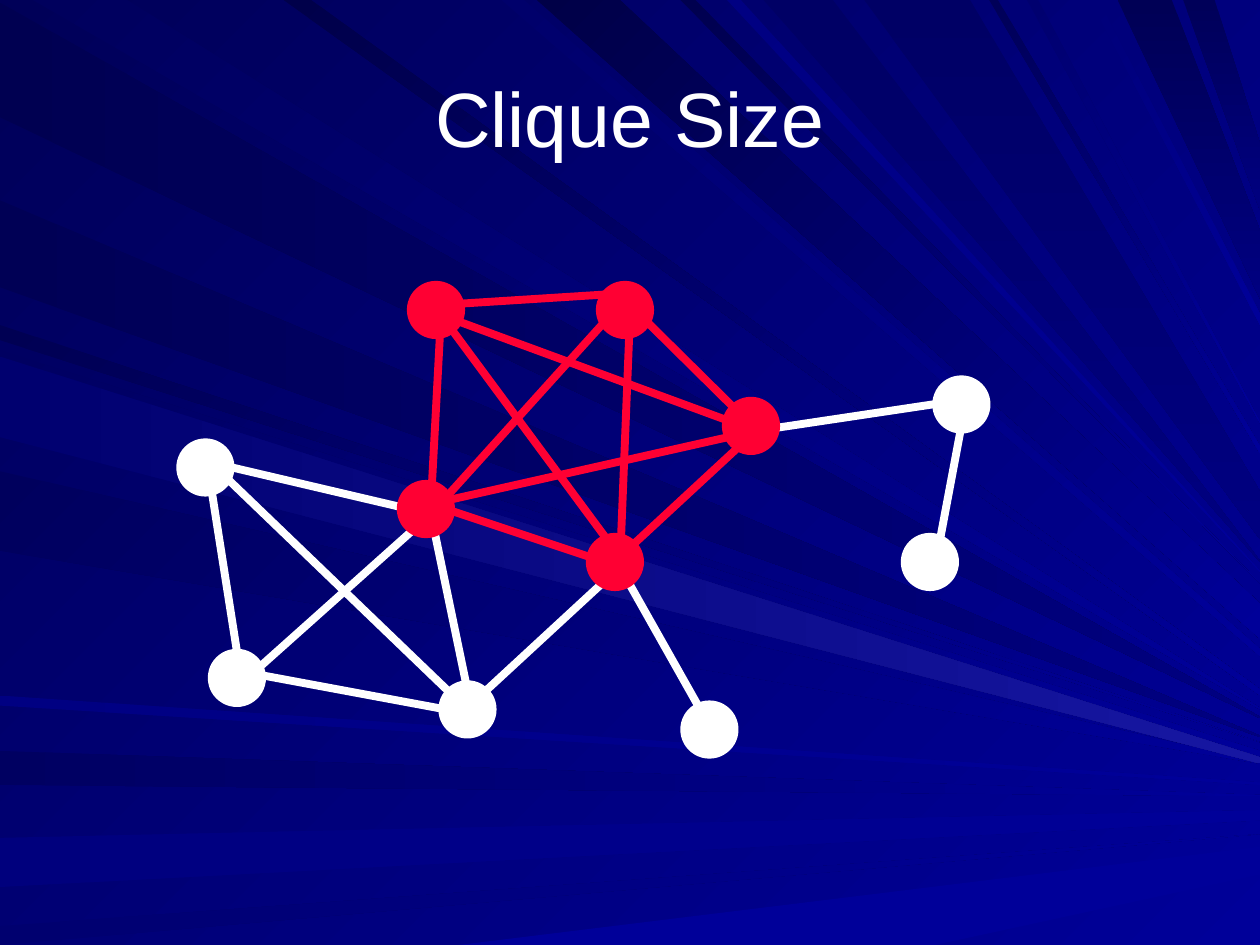
from lxml.etree import SubElement
from pptx import Presentation
from pptx.dml.color import RGBColor
from pptx.enum.shapes import MSO_CONNECTOR as CONN, MSO_SHAPE as SHAPE
from pptx.enum.text import MSO_ANCHOR as ANCHOR, PP_ALIGN as ALIGN
from pptx.oxml.ns import qn
from pptx.util import Inches, Pt

WHITE = RGBColor.from_string("FFFFFF")
RED = RGBColor.from_string("FF0033")
NIGHT = RGBColor.from_string("000058")
BLUE = RGBColor.from_string("000099")
NAVY = RGBColor.from_string("000080")
GLOW = RGBColor.from_string("1717A2")
WIDTH, HEIGHT = 10, 7.5
NODE_SIZE = 0.42

DEEP, FLAT, SLANT, DROP, SHINE = (NAVY, 0), (BLUE, 0), (BLUE, 45), (NAVY, 90), (GLOW, 0)

RAYS = [
    ("left", DEEP, "51", 0.02, 0.93, 5.69, 5.7),
    ("top", SLANT, "5D", 0.26, 1.01, 5.63, 5.62),
    ("left", FLAT, "61", 5.96, 6.23, 6.31, 6.32),
    ("left", FLAT, "7D", 6.65, 7.04, 6.43, 6.51),
    ("left", FLAT, "6F", 7.35, 7.5, 6.62, 6.62),
    ("bottom", FLAT, "99", 3.64, 7.42, 6.72, 6.94),
    ("left", SLANT, "53", 2.58, 2.7, 5.89, 5.89),
    ("left", DEEP, "55", 1.59, 2.28, 5.84, 5.85),
    ("top", SLANT, "6B", 3.98, 4.16, 5.21, 5.15),
    ("top", SLANT, "47", 4.26, 4.92, 5.07, 4.79),
    ("top", SLANT, "4F", 5.4, 5.52, 4.63, 4.63),
    ("top", DROP, "65", 6.06, 6.61, 4.46, 4.45),
    ("top", DROP, "55", 8.87, 9.3, 2.37, 1.83),
    ("top", DROP, "59", 9.39, 9.64, 1.67, 1.14),
    ("left", SLANT, "61", 2.78, 3.42, 5.96, 6.02),
    ("left", SLANT, "5D", 3.74, 4.37, 6.05, 6.06),
    ("left", FLAT, "82", 5.52, 5.6, 6.21, 6.23),
    ("top", SLANT, "4A", 2.25, 2.47, 5.52, 5.47),
    ("top", SLANT, "82", 5.77, 5.88, 4.54, 4.53),
    ("top", DROP, "65", 6.86, 7.7, 4.28, 3.9),
    ("top", SLANT, "58", 7.85, 7.92, 3.6, 3.54),
    ("top", SLANT, "6F", 8.15, 8.24, 3.36, 3.35),
    ("top", SLANT, "79", 8.65, 8.72, 2.58, 2.49),
    ("left", SHINE, "6F", 2.83, 3.47, 6.01, 6.06),
]

BACK_NODES = [
    (RED, 3.25, 2.25), (WHITE, 1.42, 3.5), (RED, 4.75, 2.25), (WHITE, 5.42, 5.58),
    (WHITE, 7.17, 4.25), (WHITE, 7.42, 3), (WHITE, 1.67, 5.17), (WHITE, 3.5, 5.42),
]
FRONT_NODES = [(RED, 4.67, 4.25), (RED, 5.75, 3.17), (RED, 3.17, 3.83)]

JOINTS = {
    "A": (3.5, 2.5), "a": (3.5, 2.42), "B": (5, 2.5), "b": (4.92, 2.42),
    "C": (6, 3.42), "D": (4.92, 4.5), "d": (4.92, 4.42), "E": (3.42, 4),
    "e": (3.42, 4.08), "F": (1.67, 3.67), "f": (1.67, 3.83), "G": (1.92, 5.42),
    "g": (1.92, 5.33), "H": (3.75, 5.67), "h": (3.75, 5.58), "I": (5.67, 5.83),
    "J": (7.67, 3.17), "K": (7.42, 4.5), "t": (4.92, 2.33), "u": (5.08, 2.5),
    "v": (5.92, 3.33),
}
EDGES = [
    (WHITE, "fG Ge"), (RED, "AE"), (WHITE, "eH"), (RED, "DE"), (WHITE, "Dh"),
    (RED, "BD uv"), (WHITE, "DI JK JC"), (RED, "ta be Ad Cd CA EC"),
    (WHITE, "FH eF gH"),
]


def paint(fill, start, end, angle):
    """Fill with one colour, or with a gradient at a clockwise angle."""
    if start == end:
        fill.solid()
        fill.fore_color.rgb = start
        return
    fill.gradient()
    fill.gradient_angle = (360 - angle) % 360
    for stop, color in zip(fill.gradient_stops, (start, end)):
        stop.color.rgb = color


def add_ray(s, side, style, shade, near, far, first, last):
    """Add a ray from one side of the slide to its right edge."""
    starts = {
        "left": [(0, near), (0, far)],
        "top": [(near, 0), (far, 0)],
        "bottom": [(near, HEIGHT), (far, HEIGHT)],
    }[side]
    points = starts + [(WIDTH, last), (WIDTH, first)]
    corners = [(Inches(x), Inches(y)) for x, y in points]
    builder = s.shapes.build_freeform(*corners[0])
    builder.add_line_segments(corners[1:], close=True)
    sp = builder.convert_to_shape()
    sp.shadow.inherit = False
    sp.line.fill.background()
    paint(sp.fill, RGBColor.from_string("0000" + shade), *style)


def set_title(s, text):
    """Write the title and bring it in front of the rays."""
    sp = s.shapes.title
    s.shapes._spTree.append(sp._element)
    sp.left, sp.top, sp.width, sp.height = map(Inches, (0.5, 0.3, 9, 1.25))
    tf = sp.text_frame
    tf.word_wrap = True
    tf.vertical_anchor = ANCHOR.MIDDLE
    p = tf.paragraphs[0]
    p.alignment = ALIGN.CENTER
    r = p.add_run()
    r.text = text
    r.font.name = "Arial"
    r.font.size = Pt(44)
    r.font.color.rgb = WHITE


def add_node(s, color, left, top):
    """Add a round graph node."""
    size = Inches(NODE_SIZE)
    sp = s.shapes.add_shape(SHAPE.OVAL, Inches(left), Inches(top), size, size)
    sp.shadow.inherit = False
    sp.fill.solid()
    sp.fill.fore_color.rgb = color
    sp.line.color.rgb = color
    sp.line.width = Pt(3)


def add_edge(s, color, start, end):
    """Add a straight graph edge between two joints."""
    ends = map(Inches, JOINTS[start] + JOINTS[end])
    edge = s.shapes.add_connector(CONN.STRAIGHT, *ends)
    edge.line.color.rgb = color
    edge.line.width = Pt(4.5)
    SubElement(edge._element.spPr, qn("a:effectLst"))


def main():
    """Build and save the slide."""
    prs = Presentation()
    prs.slide_width, prs.slide_height = Inches(WIDTH), Inches(HEIGHT)
    s = prs.slides.add_slide(prs.slide_layouts[5])
    paint(s.background.fill, NIGHT, BLUE, 45)
    for ray in RAYS:
        add_ray(s, *ray)
    set_title(s, "Clique Size")
    for node in BACK_NODES:
        add_node(s, *node)
    for color, pairs in EDGES:
        for start, end in pairs.split():
            add_edge(s, color, start, end)
    for node in FRONT_NODES:
        add_node(s, *node)
    prs.save("out.pptx")


if __name__ == "__main__":
    main()
